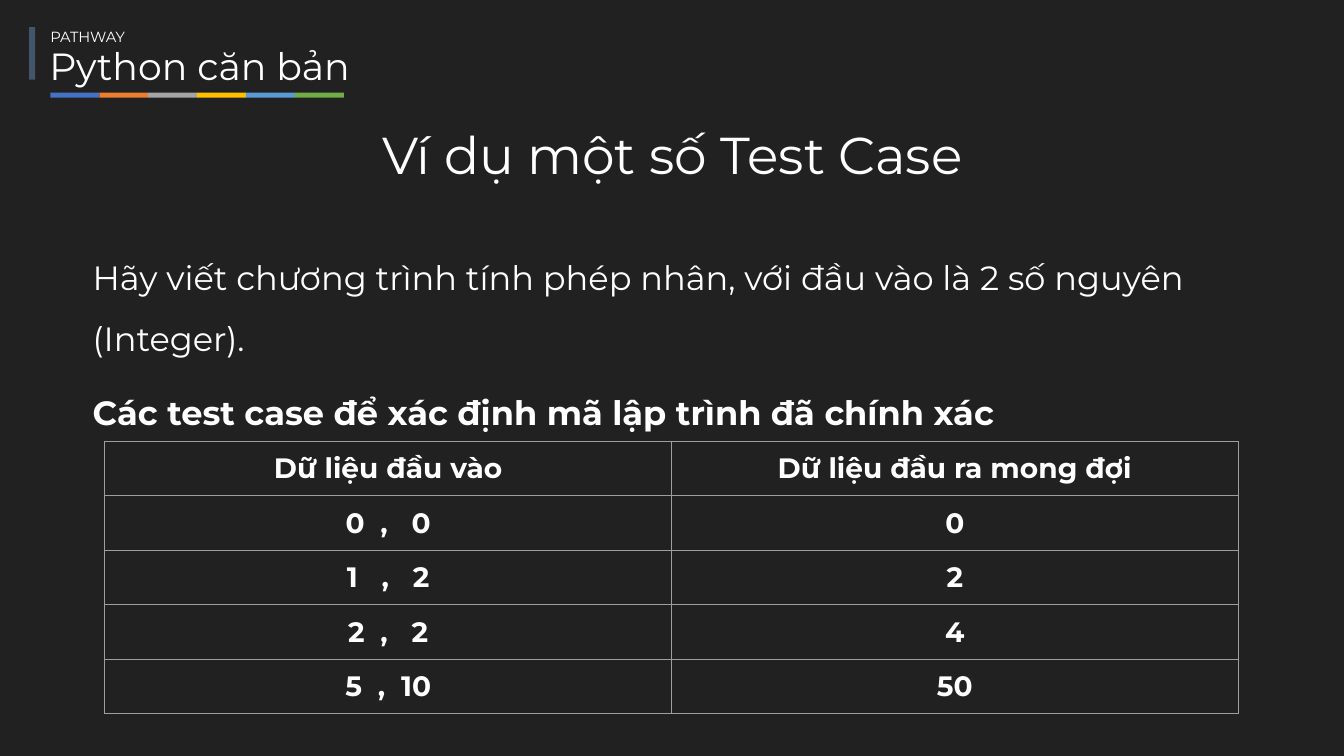
from pptx import Presentation
from pptx.dml.color import RGBColor
from pptx.enum.shapes import MSO_SHAPE
from pptx.enum.text import MSO_ANCHOR, MSO_AUTO_SIZE, PP_ALIGN
from pptx.oxml import parse_xml
from pptx.oxml.ns import nsdecls
from pptx.util import Inches, Pt

BACKGROUND = RGBColor(0x21, 0x21, 0x21)
WHITE = RGBColor(0xFF, 0xFF, 0xFF)
SLATE = RGBColor(0x44, 0x54, 0x6A)
BORDER = RGBColor(0x9E, 0x9E, 0x9E)
STRIPES = [
    RGBColor(0x44, 0x72, 0xC4),
    RGBColor(0xED, 0x7D, 0x31),
    RGBColor(0xA5, 0xA5, 0xA5),
    RGBColor(0xFF, 0xC0, 0x00),
    RGBColor(0x5B, 0x9B, 0xD5),
    RGBColor(0x70, 0xAD, 0x47),
]
TEST_CASES = [
    ("Dữ liệu đầu vào", "Dữ liệu đầu ra mong đợi"),
    ("0  ,   0", "0"),
    ("1   ,   2", "2"),
    ("2  ,   2", "4"),
    ("5  ,  10", "50"),
]


def write(p, text, size, bold=False, **paragraph_format):
    for name, value in paragraph_format.items():
        setattr(p, name, value)
    r = p.add_run()
    r.text = text
    font = {"name": "Montserrat", "size": Pt(size), "bold": bold}
    for name, value in font.items():
        setattr(r.font, name, value)
    r.font.color.rgb = WHITE


def add_bar(left, top, width, height, color):
    sp = s.shapes.add_shape(MSO_SHAPE.RECTANGLE, Inches(left), Inches(top),
                            Inches(width), Inches(height))
    sp.shadow.inherit = False
    sp.fill.solid()
    sp.fill.fore_color.rgb = color
    sp.line.fill.background()


prs = Presentation()
prs.slide_width, prs.slide_height = Inches(13.33), Inches(7.5)
s = prs.slides.add_slide(prs.slide_layouts[5])
s.background.fill.solid()
s.background.fill.fore_color.rgb = BACKGROUND

# Course header
add_bar(0.29, 0.27, 0.06, 0.52, SLATE)
stripe_width = 0.485
for i, color in enumerate(STRIPES):
    add_bar(0.5 + i * stripe_width, 0.92, stripe_width, 0.05, color)

# Header and body text: position, then paragraphs
body_format = {"line_spacing": 1.5, "space_before": Pt(10)}
text_boxes = [
    ((0.39, 0.46, 3.29, 0.46),
     [("Python căn bản", 27, False, {"line_spacing": 0.8})]),
    ((0.4, 0.23, 3.59, 0.28), [("PATHWAY", 10.5, False, {})]),
    ((0.82, 2.3, 11.5, 5.53), [
        ("Hãy viết chương trình tính phép nhân, với đầu vào là 2 số nguyên (Integer).",
         24, False, body_format),
        ("Các test case để xác định mã lập trình đã chính xác",
         24, True, body_format),
    ]),
]
for box, paragraphs in text_boxes:
    tf = s.shapes.add_textbox(*[Inches(v) for v in box]).text_frame
    tf.word_wrap = True
    for i, (text, size, bold, fmt) in enumerate(paragraphs):
        p = tf.add_paragraph() if i else tf.paragraphs[0]
        write(p, text, size, bold, **fmt)

# Title
title = s.shapes.title
title.left, title.top = Inches(0.92), Inches(1.12)
title.width, title.height = Inches(11.5), Inches(0.89)
tf = title.text_frame
tf.auto_size = MSO_AUTO_SIZE.NONE
tf.vertical_anchor = MSO_ANCHOR.MIDDLE
write(tf.paragraphs[0], "Ví dụ một số Test Case", 37,
      alignment=PP_ALIGN.CENTER, line_spacing=0.9)

# Test case table
row_height = 0.54
table = s.shapes.add_table(len(TEST_CASES), 2, Inches(1.04), Inches(4.38), Inches(11.24),
                           Inches(row_height * len(TEST_CASES))).table
table.first_row = table.horz_banding = False
margins = ("margin_left", "margin_right", "margin_top", "margin_bottom")
for row, texts in enumerate(TEST_CASES):
    for col, text in enumerate(texts):
        cell = table.cell(row, col)
        for margin in margins:
            setattr(cell, margin, Inches(0.1))
        write(cell.text_frame.paragraphs[0], text, 20, True, alignment=PP_ALIGN.CENTER)
        tcPr = cell._tc.get_or_add_tcPr()
        for side in "LRTB":
            tcPr.append(parse_xml(
                f'<a:ln{side} {nsdecls("a")} w="{Pt(0.75)}"><a:solidFill>'
                f'<a:srgbClr val="{BORDER}"/></a:solidFill></a:ln{side}>'))
        cell.fill.background()

prs.save("out.pptx")
